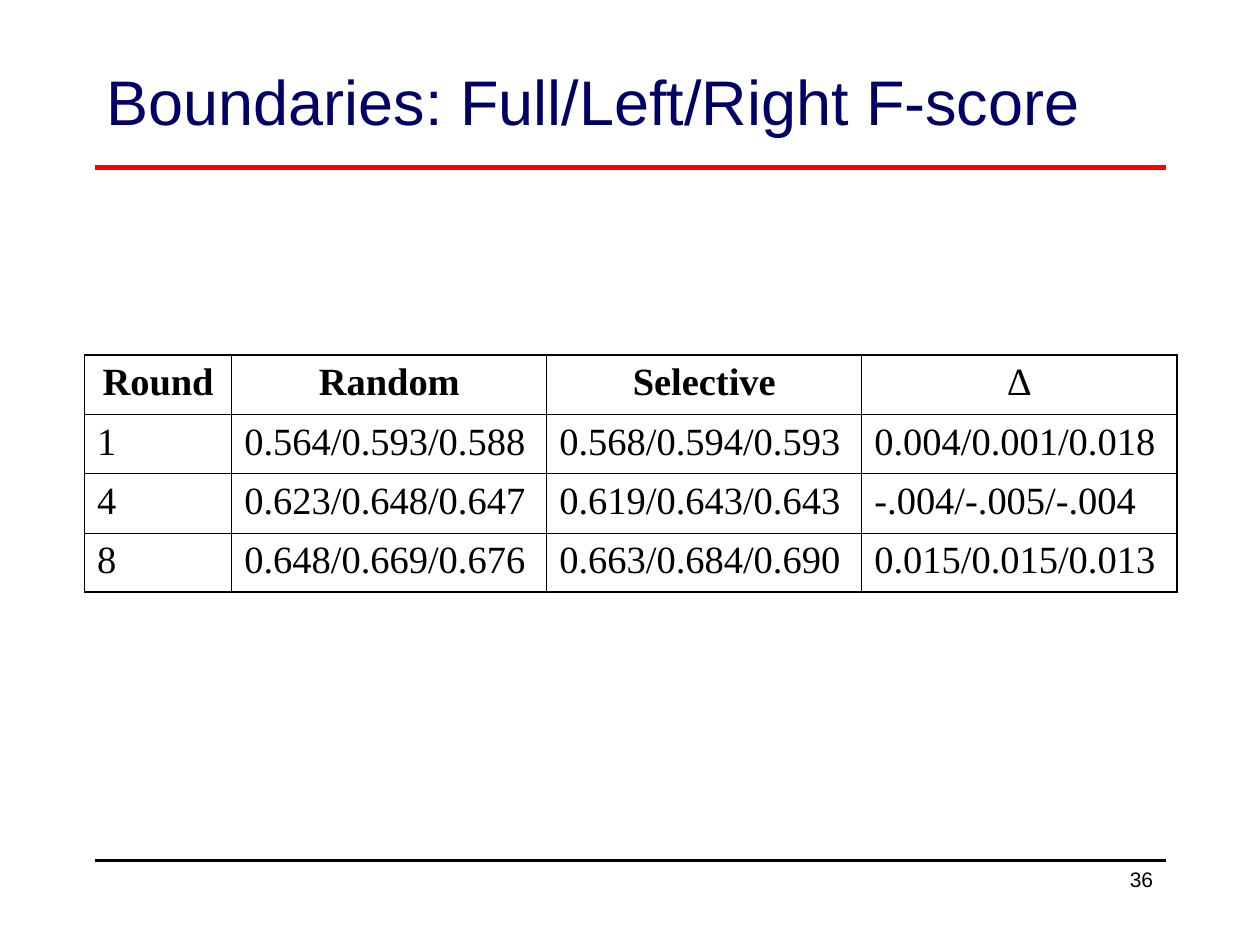
from dataclasses import dataclass

from lxml import etree
from pptx import Presentation
from pptx.dml.color import RGBColor
from pptx.enum.shapes import MSO_CONNECTOR
from pptx.enum.text import MSO_ANCHOR, PP_ALIGN
from pptx.oxml.ns import qn
from pptx.util import Inches, Pt

STRAIGHT = MSO_CONNECTOR.STRAIGHT
LEFT, CENTER, RIGHT = PP_ALIGN.LEFT, PP_ALIGN.CENTER, PP_ALIGN.RIGHT
TOP, MIDDLE = MSO_ANCHOR.TOP, MSO_ANCHOR.MIDDLE


@dataclass(frozen=True)
class Theme:
    width: float = 10
    height: float = 7.5
    margin: float = 0.75
    title_color: str = "000066"
    accent: str = "FF0000"
    ink: str = "000000"
    sans: str = "Arial"
    serif: str = "Times New Roman"
    title_size: float = 36
    table_size: float = 22
    number_size: float = 12
    space_before: float = 5.5
    outer_border: float = 1.08
    inner_border: float = 0.45


THEME = Theme()

HEADER = ["Round", "Random", "Selective", "∆"]
SCORES = [
    ["1", "0.564/0.593/0.588", "0.568/0.594/0.593", "0.004/0.001/0.018"],
    ["4", "0.623/0.648/0.647", "0.619/0.643/0.643", "-.004/-.005/-.004"],
    ["8", "0.648/0.669/0.676", "0.663/0.684/0.690", "0.015/0.015/0.013"],
]
COLUMN_SHARES = [1.17, 2.5, 2.5, 2.5]


def write_text(frame, text, *, size, font, color=THEME.ink, bold=False,
               align=LEFT, before=0):
    para = frame.paragraphs[0]
    para.alignment = align
    para.space_before = Pt(before)
    span = para.add_run()
    span.text = text
    span.font.size = Pt(size)
    span.font.name = font
    span.font.bold = bold
    span.font.color.rgb = RGBColor.from_string(color)


def add_text_box(page, area, text, *, anchor=TOP, **text_format):
    box = page.shapes.add_textbox(*map(Inches, area))
    box.text_frame.word_wrap = True
    box.text_frame.vertical_anchor = anchor
    write_text(box.text_frame, text, **text_format)


def add_rule(page, y, *, color, weight):
    ends = (THEME.margin, y, THEME.width - THEME.margin, y)
    rule = page.shapes.add_connector(STRAIGHT, *map(Inches, ends))
    rule.line.color.rgb = RGBColor.from_string(color)
    rule.line.width = Pt(weight)
    etree.SubElement(rule._element.spPr, qn("a:effectLst"))


def set_borders(cell, weights):
    """Draw the cell's sides; weights run left, right, top, bottom."""
    properties = cell._tc.get_or_add_tcPr()
    for side, weight in zip("LRTB", weights):
        line = etree.SubElement(properties, qn(f"a:ln{side}"), w=str(int(Pt(weight))))
        fill = etree.SubElement(line, qn("a:solidFill"))
        etree.SubElement(fill, qn("a:srgbClr"), val=THEME.ink)


def add_title(page, area):
    add_text_box(page, area, "Boundaries: Full/Left/Right F-score", anchor=MIDDLE,
                 size=THEME.title_size, font=THEME.sans, color=THEME.title_color)
    left, top, width, height = area
    add_rule(page, top + height - 0.09, color=THEME.accent, weight=2.5)


def add_score_table(page, area):
    rows = [HEADER, *SCORES]
    last_row, last_column = len(rows) - 1, len(HEADER) - 1
    table = page.shapes.add_table(len(rows), len(HEADER), *map(Inches, area)).table
    table.first_row = table.horz_banding = False

    for column, share in zip(table.columns, COLUMN_SHARES):
        column.width = Inches(area[2] * share / sum(COLUMN_SHARES))

    for r, row in enumerate(rows):
        for c, text in enumerate(row):
            cell = table.cell(r, c)
            is_header = r == 0
            write_text(cell.text_frame, text, size=THEME.table_size,
                       font=THEME.serif, bold=is_header and c < last_column,
                       align=CENTER if is_header else LEFT,
                       before=THEME.space_before)
            # Heavier lines on the outside of the table
            on_edge = (c == 0, c == last_column, r == 0, r == last_row)
            set_borders(cell, [THEME.outer_border if edge else THEME.inner_border
                               for edge in on_edge])
            cell.fill.background()


def add_footer(page, area):
    add_rule(page, area[1], color=THEME.ink, weight=1.5)
    add_text_box(page, area, "36", size=THEME.number_size, font=THEME.sans,
                 align=RIGHT)


def main():
    deck = Presentation()
    deck.slide_width = Inches(THEME.width)
    deck.slide_height = Inches(THEME.height)
    page = deck.slides.add_slide(deck.slide_layouts[6])

    content_width = THEME.width - 2 * THEME.margin
    add_title(page, (THEME.margin, 0.17, content_width, 1.25))
    add_score_table(page, (0.67, 2.82, sum(COLUMN_SHARES), 1.88))
    add_footer(page, (7.17, 6.83, 2.08, 0.5))

    deck.save("out.pptx")


if __name__ == "__main__":
    main()
